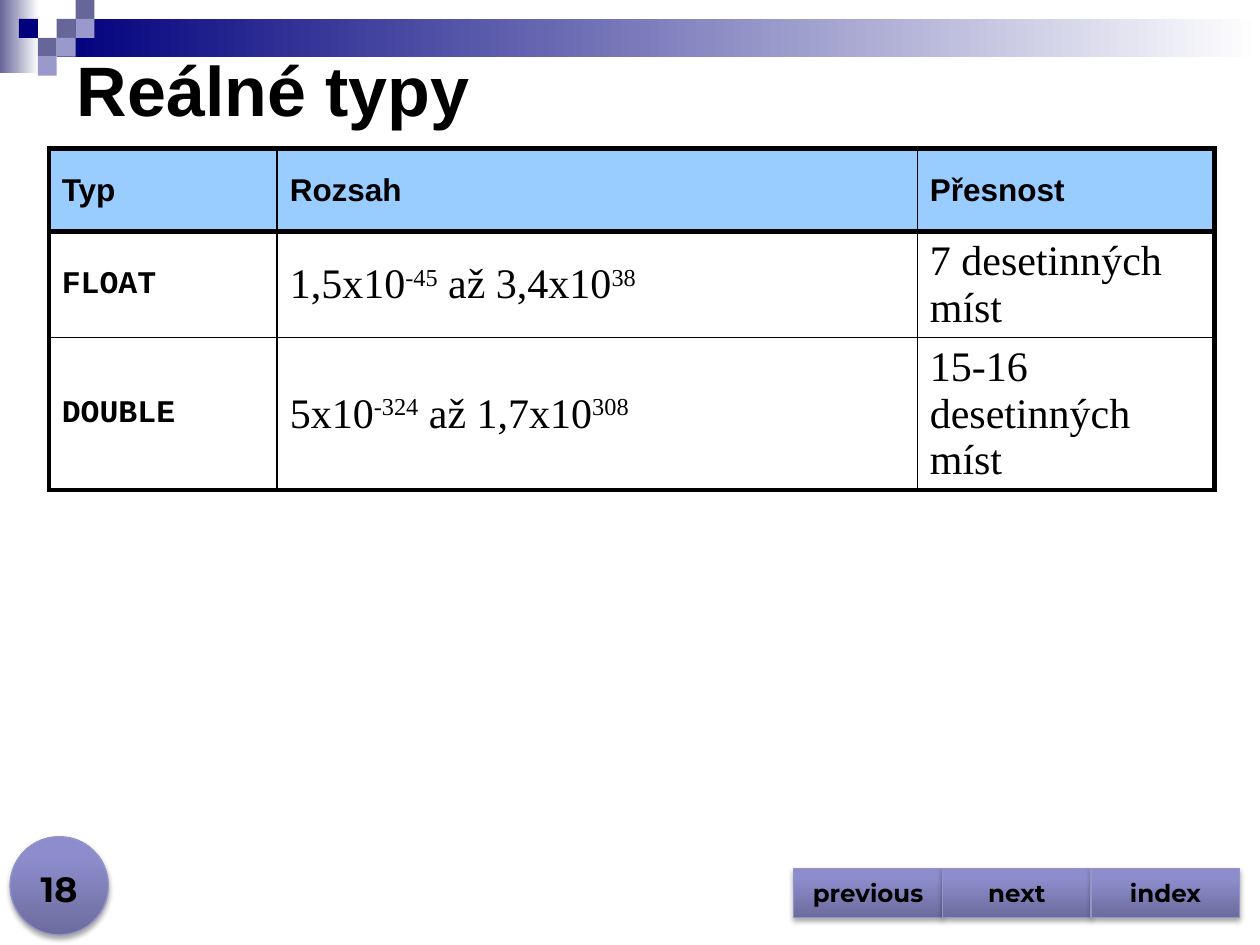
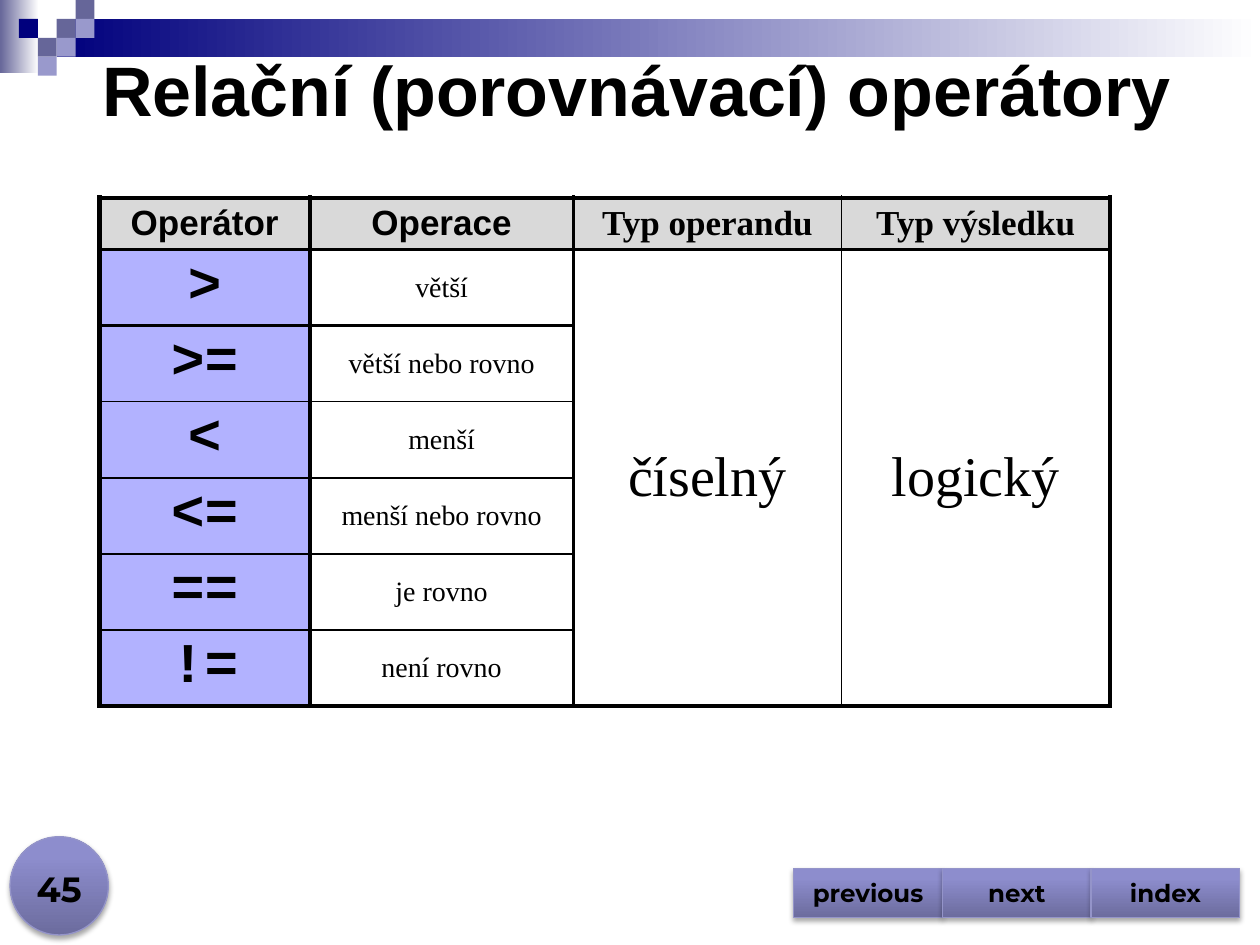
from lxml.etree import SubElement
from pptx import Presentation
from pptx.dml.color import RGBColor
from pptx.enum.shapes import MSO_SHAPE
from pptx.enum.text import MSO_ANCHOR as Anchor, MSO_AUTO_SIZE, PP_ALIGN as Align
from pptx.oxml.ns import qn
from pptx.util import Inches, Pt

BLACK = RGBColor(0x00, 0x00, 0x00)
WHITE = RGBColor(0xFF, 0xFF, 0xFF)
NAVY = RGBColor(0x00, 0x00, 0x7D)
SLATE = RGBColor(0x66, 0x66, 0x99)
LAVENDER = RGBColor(0x99, 0x99, 0xCC)
BUTTON_EDGE = RGBColor(0x94, 0x94, 0xC9)
SKY = RGBColor(0x99, 0xCC, 0xFF)
GREY = RGBColor(0xD9, 0xD9, 0xD9)
LILAC = RGBColor(0xB2, 0xB2, 0xFF)
BUTTON_STOPS = [(0, RGBColor(0x6C, 0x6C, 0x9E)), (80, RGBColor(0x8D, 0x8D, 0xCD)),
                (100, RGBColor(0x8C, 0x8C, 0xCF))]

TITLE = {"name": "Arial", "size": Pt(40), "bold": True}
NUMBER = {"name": "Montserrat", "size": Pt(20), "bold": True}
BUTTON = {"name": "Montserrat", "size": Pt(14), "bold": True}
TYPE_HEAD = {"name": "Arial", "size": Pt(18), "bold": True}
TYPE_NAME = {"name": "Courier New", "size": Pt(18), "bold": True}
TYPE_TEXT = {"name": "Times New Roman", "size": Pt(24), "bold": False}
OPERATOR_HEAD = {"name": "Arial", "size": Pt(20), "bold": True}
OPERAND_HEAD = {"name": "Times New Roman", "size": Pt(20), "bold": True}
OPERATOR = {"name": "Courier New", "size": Pt(32), "bold": True}
OPERATION = {"name": "Times New Roman", "size": Pt(16), "bold": False}
VALUE_KIND = {"name": "Times New Roman", "size": Pt(32), "bold": False}

SQUARE = 0.15
SQUARES = [(3, 1, SLATE), (4, 0, SLATE), (4, 1, LAVENDER), (2, 2, SLATE),
           (1, 1, NAVY), (3, 2, LAVENDER), (2, 3, LAVENDER)]
BUTTON_LEFT, BUTTON_WIDTH = 6.3, 1.18

SLIDES = [
    {"title": "Reálné typy", "title_left": 0.51, "number": "18",
     "left": 0.39, "top": 1.18, "align": Align.LEFT,
     "columns": [1.81, 5.08, 2.36], "rows": [0.66, 0.84, 1.21],
     "vertical_lines": [3, 1, 1, 3], "horizontal_lines": [3, 3, 1, 3],
     "head_fill": SKY, "first_fill": None, "merged_columns": [],
     "head_formats": [TYPE_HEAD] * 3,
     "body_formats": [TYPE_NAME, TYPE_TEXT, TYPE_TEXT],
     "cells": [["Typ", "Rozsah", "Přesnost"],
               ["FLOAT", "1,5x10^-45^ až 3,4x10^38", "7 desetinných míst"],
               ["DOUBLE", "5x10^-324^ až 1,7x10^308", "15-16 desetinných míst"]]},
    {"title": "Relační (porovnávací) operátory", "title_left": 0.71, "number": "45",
     "left": 0.79, "top": 1.57, "align": Align.CENTER,
     "columns": [1.67, 2.09, 2.13, 2.13], "rows": [0.41] + [0.6] * 6,
     "vertical_lines": [3, 2.25, 2.25, 1, 3],
     "horizontal_lines": [3, 2.25, 2.25, 1, 1, 1, 1, 3],
     "head_fill": GREY, "first_fill": LILAC, "merged_columns": [2, 3],
     "head_formats": [OPERATOR_HEAD] * 2 + [OPERAND_HEAD] * 2,
     "body_formats": [OPERATOR, OPERATION, VALUE_KIND, VALUE_KIND],
     "cells": [["Operátor", "Operace", "Typ operandu", "Typ výsledku"],
               [">", "větší", "číselný", "logický"],
               [">=", "větší nebo rovno"],
               ["<", "menší"],
               ["<=", "menší nebo rovno"],
               ["==", "je rovno"],
               ["!=", "není rovno"]]},
]


def write_text(frame, text, font_format, align):
    """Write one paragraph; every second piece between ^ marks is superscript."""
    paragraph = frame.paragraphs[0]
    paragraph.alignment = align
    for index, piece in enumerate(text.split("^")):
        run = paragraph.add_run()
        run.text = piece
        for attribute, value in font_format.items():
            setattr(run.font, attribute, value)
        run.font.color.rgb = BLACK
        if index % 2:
            run._r.get_or_add_rPr().set("baseline", "30000")


def add_filled_shape(slide, kind, box, stops, angle=0):
    """Add a shape without line or shadow; a single stop gives a solid fill."""
    shape = slide.shapes.add_shape(kind, *[Inches(length) for length in box])
    shape.shadow.inherit = False
    shape.line.fill.background()
    if len(stops) == 1:
        shape.fill.solid()
        shape.fill.fore_color.rgb = stops[0][1]
        return shape
    shape.fill.gradient()
    shape.fill.gradient_angle = angle
    stop_list = shape._element.spPr.find(qn("a:gradFill")).find(qn("a:gsLst"))
    stop_list.clear()
    for position, color in stops:
        stop = SubElement(stop_list, qn("a:gs"), pos=str(position * 1000))
        SubElement(stop, qn("a:srgbClr"), val=str(color))
    return shape


presentation = Presentation()
presentation.slide_width, presentation.slide_height = Inches(10), Inches(7.5)

for content in SLIDES:
    slide = presentation.slides.add_slide(presentation.slide_layouts[5])

    # Top band with the stepped squares
    add_filled_shape(slide, MSO_SHAPE.RECTANGLE, (0, 0, 0.31, 0.58),
                     [(0, SLATE), (100, WHITE)])
    add_filled_shape(slide, MSO_SHAPE.RECTANGLE,
                     (3 * SQUARE, SQUARE, 10 - 3 * SQUARE, 2 * SQUARE),
                     [(0, NAVY), (100, WHITE)])
    for column, row, color in SQUARES:
        add_filled_shape(slide, MSO_SHAPE.RECTANGLE,
                         (column * SQUARE, row * SQUARE, SQUARE, SQUARE), [(0, color)])

    # Title
    title = slide.shapes.title
    title.left, title.top = Inches(content["title_left"]), Inches(0.31)
    title.width, title.height = Inches(9.59 - content["title_left"]), Inches(0.79)
    title.text_frame.auto_size = MSO_AUTO_SIZE.NONE
    title.text_frame.vertical_anchor = Anchor.MIDDLE
    write_text(title.text_frame, content["title"], TITLE, Align.LEFT)

    # Table
    cells, columns, rows = content["cells"], content["columns"], content["rows"]
    frame = slide.shapes.add_table(
        len(rows), len(columns), Inches(content["left"]), Inches(content["top"]),
        Inches(sum(columns)), Inches(sum(rows)))
    table = frame.table
    table.first_row = table.horz_banding = False
    for column, width in zip(table.columns, columns):
        column.width = Inches(width)
    for row, height in zip(table.rows, rows):
        row.height = Inches(height)
    for column in content["merged_columns"]:
        table.cell(1, column).merge(table.cell(len(rows) - 1, column))

    for row, texts in enumerate(cells):
        formats = content["body_formats"] if row else content["head_formats"]
        for column, text in enumerate(texts):
            cell = table.cell(row, column)
            cell.vertical_anchor = Anchor.MIDDLE
            write_text(cell.text_frame, text, formats[column], content["align"])
            bottom = row + (cell.span_height if cell.is_merge_origin else 1)
            widths = {"lnL": content["vertical_lines"][column],
                      "lnR": content["vertical_lines"][column + 1],
                      "lnT": content["horizontal_lines"][row],
                      "lnB": content["horizontal_lines"][bottom]}
            properties = cell._tc.get_or_add_tcPr()
            for side, width in widths.items():
                border = SubElement(properties, qn(f"a:{side}"), w=str(Pt(width)))
                SubElement(SubElement(border, qn("a:solidFill")), qn("a:srgbClr"),
                           val=str(BLACK))
            fill = content["head_fill"] if row == 0 else None
            if row and column == 0:
                fill = content["first_fill"]
            if fill is None:
                cell.fill.background()
            else:
                cell.fill.solid()
                cell.fill.fore_color.rgb = fill

    # Footer: number disc and navigation buttons
    disc = add_filled_shape(slide, MSO_SHAPE.OVAL, (0.08, 6.64, 0.78, 0.78),
                            BUTTON_STOPS, 90)
    footer_shapes = [disc]
    for index, label in enumerate(["previous", "next", "index"]):
        button = add_filled_shape(
            slide, MSO_SHAPE.ACTION_BUTTON_CUSTOM,
            (BUTTON_LEFT + index * BUTTON_WIDTH, 6.89, BUTTON_WIDTH, 0.39),
            BUTTON_STOPS, 90)
        button.text_frame.vertical_anchor = Anchor.MIDDLE
        write_text(button.text_frame, label, BUTTON, Align.CENTER)
        footer_shapes.append(button)
    for shape in footer_shapes:
        shape.line.color.rgb = BUTTON_EDGE
        shape.line.width = Pt(0.75)
        effects = shape._element.spPr.find(qn("a:effectLst"))
        shadow = SubElement(effects, qn("a:outerShdw"), blurRad=str(Pt(3.1)),
                            dist=str(Pt(1.8)), dir="5400000", rotWithShape="0")
        shadow_color = SubElement(shadow, qn("a:srgbClr"), val=str(BLACK))
        SubElement(shadow_color, qn("a:alpha"), val="35000")

    number_box = slide.shapes.add_textbox(Inches(0), Inches(6.77), Inches(0.94), Inches(0.5))
    number_box.text_frame.word_wrap = True
    number_box.text_frame.vertical_anchor = Anchor.BOTTOM
    write_text(number_box.text_frame, content["number"], NUMBER, Align.CENTER)

presentation.save("out.pptx")
